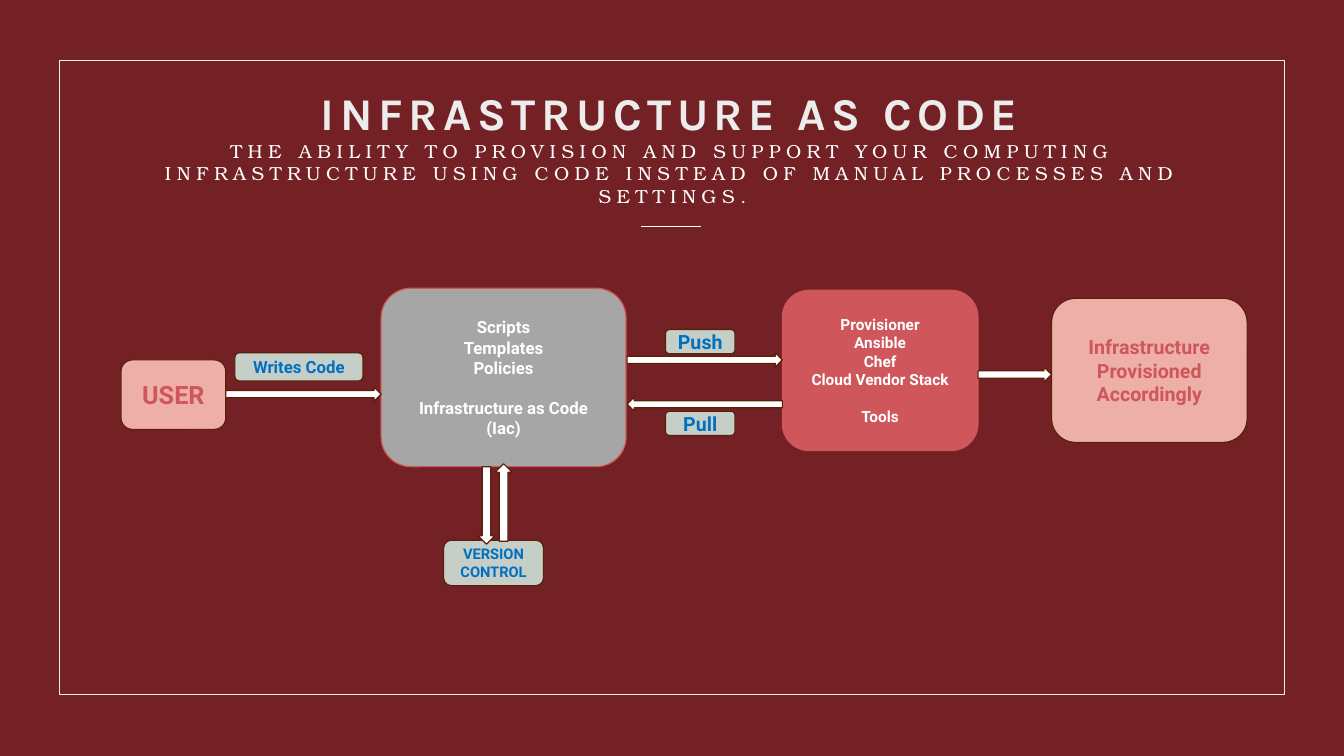
from dataclasses import dataclass

from lxml import etree
from pptx import Presentation
from pptx.dml.color import RGBColor
from pptx.enum.shapes import MSO_CONNECTOR, MSO_SHAPE
from pptx.enum.text import MSO_ANCHOR, MSO_AUTO_SIZE, PP_ALIGN
from pptx.oxml.ns import qn
from pptx.util import Inches, Pt


@dataclass(frozen=True)
class Theme:
    maroon: str = "732124"
    cream: str = "F0EDE5"
    light: str = "ECECEC"
    white: str = "FFFFFF"
    pink: str = "EDAFA8"
    red: str = "CF565B"
    gray: str = "A6A6A6"
    sage: str = "C6CEC8"
    blue: str = "0070C0"
    brown: str = "5C200A"
    heading_font: str = "Karla"
    subtitle_font: str = "TeX Gyre Bonum"
    body_font: str = "Roboto"
    heading: float = 32.4
    subtitle: float = 13.5
    user: float = 18
    large: float = 14
    medium: float = 12
    tools: float = 11
    small: float = 10.5
    outline: float = 0.85


theme = Theme()


def add_span(para, text, font, size, color, bold=True):
    span = para.add_run()
    span.text = text
    span.font.name = font
    span.font.size = Pt(size)
    span.font.bold = bold
    span.font.color.rgb = RGBColor.from_string(color)
    return span


def add_box(kind, place, fill, line):
    """Add a flat outlined shape; a fill of None leaves it hollow."""
    box = page.shapes.add_shape(kind, *map(Inches, place))
    box.shadow.inherit = False
    if fill:
        box.fill.solid()
        box.fill.fore_color.rgb = RGBColor.from_string(fill)
    else:
        box.fill.background()
    box.line.color.rgb = RGBColor.from_string(line)
    box.line.width = Pt(theme.outline)
    return box


deck = Presentation()
deck.slide_width, deck.slide_height = Inches(13.33), Inches(7.5)
page = deck.slides.add_slide(deck.slide_layouts[5])
page.background.fill.solid()
page.background.fill.fore_color.rgb = RGBColor.from_string(theme.maroon)

# Frame and divider
add_box(MSO_SHAPE.RECTANGLE, (0.59, 0.6, 12.15, 6.29), None, theme.cream)
divider = page.shapes.add_connector(
    MSO_CONNECTOR.STRAIGHT, Inches(6.36), Inches(2.25), Inches(6.95), Inches(2.25))
divider.line.color.rgb = RGBColor.from_string(theme.white)
divider.line.width = Pt(1)
etree.SubElement(divider._element.spPr, qn("a:effectLst"))

# Title with its definition
title = page.shapes.title
title.left, title.top, title.width, title.height = map(Inches, (1.17, 0.85, 11, 1.2))
frame = title.text_frame
frame.auto_size = MSO_AUTO_SIZE.NONE
frame.word_wrap = True
frame.vertical_anchor = MSO_ANCHOR.MIDDLE
frame.margin_left = frame.margin_right = frame.margin_top = frame.margin_bottom = 0
para = frame.paragraphs[0]
para.alignment = PP_ALIGN.CENTER
definition = ("THE ABILITY TO PROVISION AND SUPPORT YOUR COMPUTING INFRASTRUCTURE "
              "USING CODE INSTEAD OF MANUAL PROCESSES AND SETTINGS")
heading = add_span(para, "INFRASTRUCTURE AS CODE", theme.heading_font, theme.heading, theme.light)
para.add_line_break()
subtitle = [add_span(para, text, theme.subtitle_font, theme.subtitle, color, bold=False)
            for text, color in ((definition, theme.white), (".", theme.light))]
for span in (heading, *subtitle):
    span.font._element.set("spc", "400")

# Boxes: place, fill, outline, text colour, size, groups of lines
boxes = [
    ((1.2, 3.57, 1.04, 0.69), theme.pink, theme.brown, theme.red, theme.user, [["USER"]]),
    ((3.78, 2.86, 2.43, 1.77), theme.gray, theme.red, theme.white, theme.medium,
     [["Scripts", "Templates", "Policies"], ["Infrastructure as Code (Iac)"]]),
    ((7.76, 2.88, 1.94, 1.59), theme.red, theme.red, theme.white, theme.tools,
     [["Provisioner", "Ansible", "Chef", "Cloud Vendor Stack"], ["Tools"]]),
    ((10.43, 2.96, 1.94, 1.43), theme.pink, theme.brown, theme.red, theme.large,
     [["Infrastructure", "Provisioned Accordingly"]]),
]
labels = [
    ((4.4, 5.36, 0.99, 0.45), theme.small, "VERSION CONTROL"),
    ((6.6, 4.08, 0.69, 0.24), theme.large, "Pull"),
    ((6.6, 3.27, 0.69, 0.24), theme.large, "Push"),
    ((2.33, 3.5, 1.27, 0.28), theme.medium, "Writes Code"),
]
boxes += [(place, theme.sage, theme.brown, theme.blue, size, [[text]])
          for place, size, text in labels]

for place, fill, line, color, size, groups in boxes:
    frame = add_box(MSO_SHAPE.ROUNDED_RECTANGLE, place, fill, line).text_frame
    frame.word_wrap = True
    frame.vertical_anchor = MSO_ANCHOR.MIDDLE
    para = None
    for group in groups:
        for row, text in enumerate(group):
            starts_later_group = para is not None and row == 0
            para = frame.add_paragraph() if para is not None else frame.paragraphs[0]
            para.alignment = PP_ALIGN.CENTER
            if starts_later_group:
                para.space_before = Pt(round(size * 1.18, 1))
            add_span(para, text, theme.body_font, size, color)

# Block arrows: place and rotation
arrows = [
    ((6.22, 3.5, 1.54, 0.14), 0),
    ((6.22, 3.94, 1.54, 0.14), 180),
    ((2.24, 3.84, 1.54, 0.14), 0),
    ((9.7, 3.64, 0.73, 0.15), 0),
    ((4.44, 4.93, 0.77, 0.17), 90),
    ((4.61, 4.9, 0.77, 0.17), 270),
]
for place, rotation in arrows:
    add_box(MSO_SHAPE.RIGHT_ARROW, place, theme.white, theme.brown).rotation = rotation

deck.save("out.pptx")
